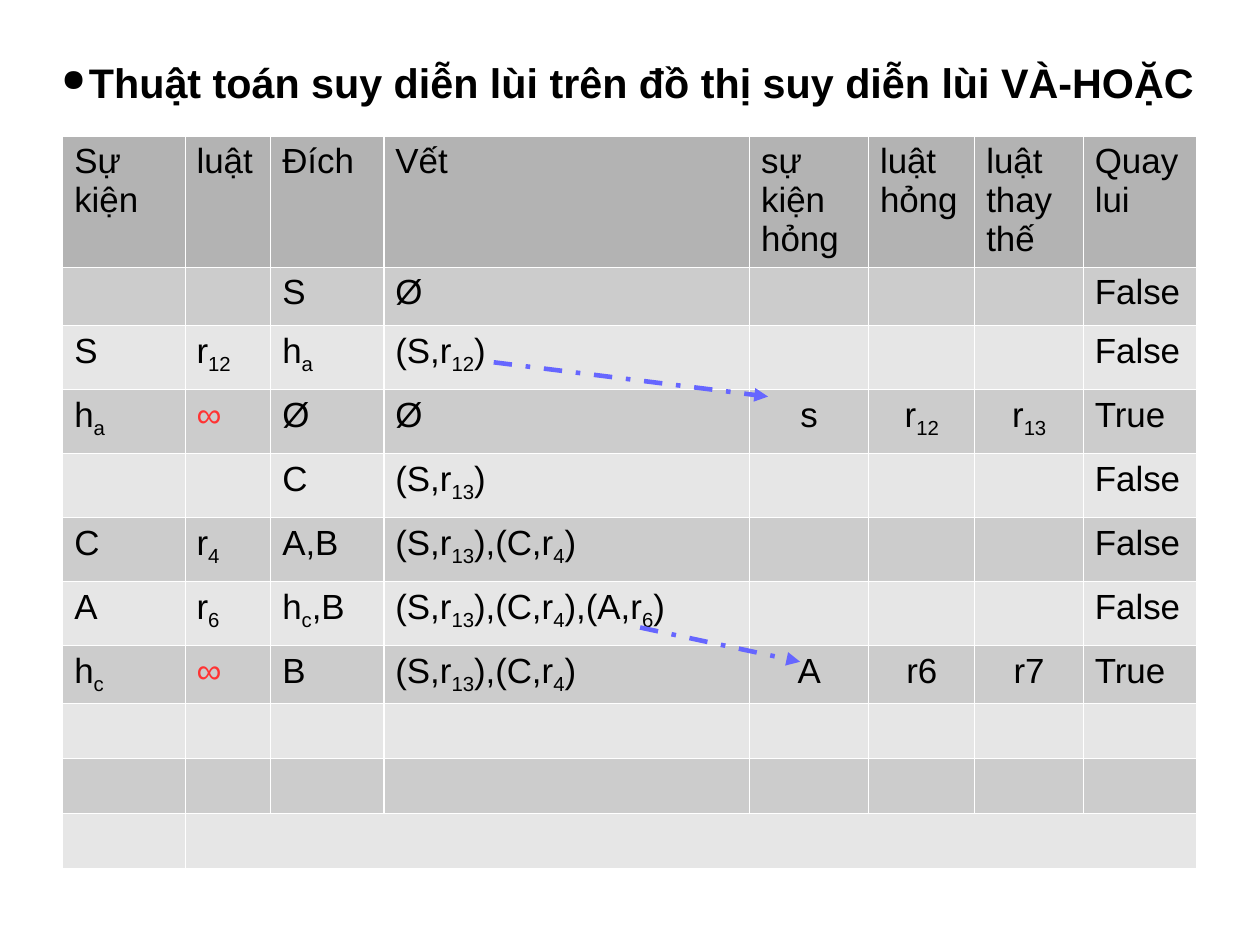
import pptx
import pptx.util
import pptx.dml.color
import pptx.enum.dml
import pptx.enum.shapes
import pptx.enum.text
import pptx.oxml
import pptx.oxml.ns
from lxml import etree

Inches, Pt = pptx.util.Inches, pptx.util.Pt
ALIGN = pptx.enum.text.PP_ALIGN


class Theme:
    font = "Arial"
    title, body = 26, 22
    ink, red, blue, rule = "000000", "FF3333", "6666FF", "FFFFFF"
    head, dark, light = "B3B3B3", "CCCCCC", "E6E6E6"
    edge, arrow = 0.75, 2.89


# A page of 28 by 21 cm
WIDE, HIGH = Inches(28 / 2.54), Inches(21 / 2.54)
TITLE = "Thuật toán suy diễn lùi trên đồ thị suy diễn lùi VÀ-HOẶC"
COLS = [1.07, 0.75, 0.99, 3.2, 1.04, 0.93, 0.95, 0.99]
ROWS = [1.13, 0.51] + [0.56] * 5 + [0.51] + [0.48] * 3
# Text between underscores is a subscript
CELLS = [
    ["Sự kiện", "luật", "Đích", "Vết", "sự kiện hỏng", "luật hỏng", "luật thay thế", "Quay lui"],
    ["", "", "S", "Ø", "", "", "", "False"],
    ["S", "r_12_", "h_a_", "(S,r_12_)", "", "", "", "False"],
    ["h_a_", "∞", "Ø", "Ø", "s", "r_12_", "r_13_", "True"],
    ["", "", "C", "(S,r_13_)", "", "", "", "False"],
    ["C", "r_4_", "A,B", "(S,r_13_),(C,r_4_)", "", "", "", "False"],
    ["A", "r_6_", "h_c_,B", "(S,r_13_),(C,r_4_),(A,r_6_)", "", "", "", "False"],
    ["h_c_", "∞", "B", "(S,r_13_),(C,r_4_)", "A", "r6", "r7", "True"],
] + [[""] * len(COLS)] * 3
ARROWS = [(4.32, 3.17, 2.4, 0.3), (5.6, 5.49, 1.4, 0.3)]


def rgb(code):
    return pptx.dml.color.RGBColor.from_string(code)


def node(home, tag, **attrs):
    return etree.SubElement(home, pptx.oxml.ns.qn("a:" + tag), attrs)


def style(para, size, color, bold=False):
    font = para.font
    font.name, font.size, font.bold = Theme.font, Pt(size), bold
    font.color.rgb = rgb(color)


def add_title(slide, left, top, width, height):
    box = slide.shapes.add_textbox(*map(Inches, (left, top, width, height)))
    frame = box.text_frame
    frame.word_wrap = True
    frame.vertical_anchor = pptx.enum.text.MSO_ANCHOR.MIDDLE
    frame.margin_left = frame.margin_right = 0
    frame.margin_top = frame.margin_bottom = 0
    para = frame.paragraphs[0]
    para.text = TITLE
    para.alignment = ALIGN.CENTER
    # Hanging bullet
    props = para._p.get_or_add_pPr()
    props.set("marL", str(Inches(0.24)))
    props.set("indent", str(Inches(-0.24)))
    node(node(props, "buClr"), "srgbClr", val=Theme.ink)
    node(props, "buSzPct", val="75000")
    node(props, "buChar", char="●")
    style(para, Theme.title, Theme.ink, True)


def fill_cell(cell, text, fill, center):
    cell.margin_left = cell.margin_right = Inches(0.1)
    cell.margin_top, cell.margin_bottom = Inches(0.05), 0
    # Borders go before the fill
    props = cell._tc.get_or_add_tcPr()
    for side in "LRTB":
        line = node(props, "ln" + side, w=str(Pt(Theme.edge)))
        node(node(line, "solidFill"), "srgbClr", val=Theme.rule)
    cell.fill.solid()
    cell.fill.fore_color.rgb = rgb(fill)
    # Text with subscripts
    para = cell.text_frame.paragraphs[0]
    para.alignment = ALIGN.CENTER if center else ALIGN.LEFT
    for i, part in enumerate(text.split("_")):
        if part:
            run = para.add_run()
            run.text = part
            if i % 2:
                run._r.get_or_add_rPr().set("baseline", "-25000")
    style(para, Theme.body, Theme.red if text == "∞" else Theme.ink)


def add_trace(slide, left, top, width, height):
    frame = slide.shapes.add_table(
        len(ROWS), len(COLS), *map(Inches, (left, top, width, height)))
    table = frame.table
    table.first_row = table.horz_banding = False
    for col, size in zip(table.columns, COLS):
        col.width = Inches(size)
    for row, size in zip(table.rows, ROWS):
        row.height = Inches(size)
    for r, texts in enumerate(CELLS):
        fill = Theme.head if r == 0 else Theme.dark if r % 2 else Theme.light
        for c, text in enumerate(texts):
            fill_cell(table.cell(r, c), text, fill, r > 0 and 4 <= c <= 6)
    last = len(ROWS) - 1
    table.cell(last, 1).merge(table.cell(last, len(COLS) - 1))


def add_arrow(slide, left, top, width, height):
    ends = map(Inches, (left, top, left + width, top + height))
    link = slide.shapes.add_connector(
        pptx.enum.shapes.MSO_CONNECTOR.STRAIGHT, *ends)
    link.line.width = Pt(Theme.arrow)
    link.line.color.rgb = rgb(Theme.blue)
    link.line.dash_style = pptx.enum.dml.MSO_LINE.DASH_DOT
    node(link.line._get_or_add_ln(), "tailEnd", type="triangle")
    node(link._element.spPr, "effectLst")


def main():
    deck = pptx.Presentation()
    deck.slide_width, deck.slide_height = WIDE, HIGH
    slide = deck.slides.add_slide(deck.slide_layouts[6])
    add_title(slide, 0.4, 0.31, 10.2, 0.81)
    add_trace(slide, 0.55, 1.19, sum(COLS), sum(ROWS))
    for spot in ARROWS:
        add_arrow(slide, *spot)
    deck.save("out.pptx")


if __name__ == "__main__":
    main()
